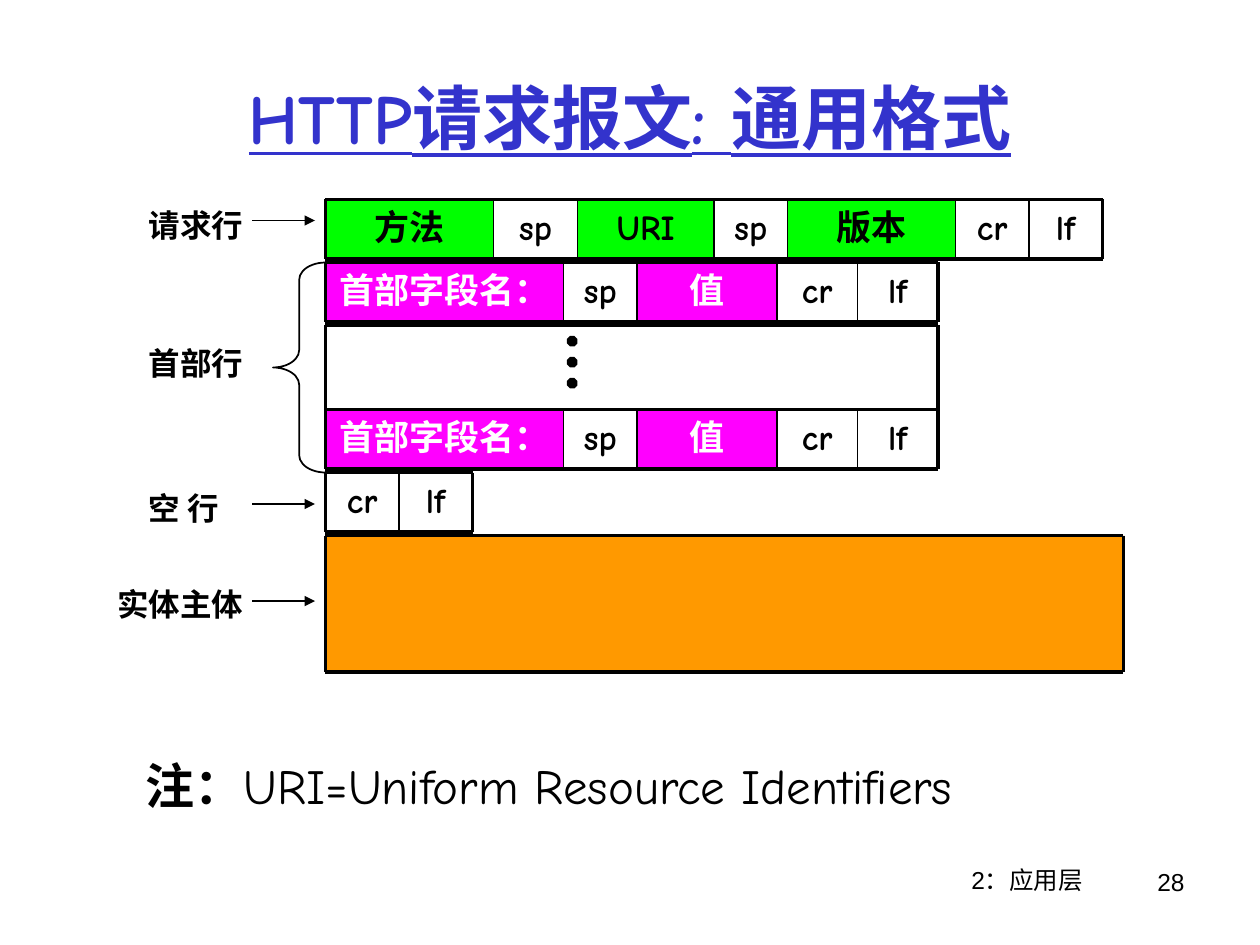
"""Build the slide on the general format of an HTTP request message."""
from dataclasses import dataclass
from itertools import accumulate

from lxml.etree import SubElement
from pptx import Presentation
from pptx.dml.color import RGBColor
from pptx.enum.shapes import MSO_CONNECTOR, MSO_SHAPE
from pptx.enum.text import MSO_ANCHOR, MSO_AUTO_SIZE, PP_ALIGN
from pptx.oxml.ns import qn
from pptx.util import Pt


@dataclass(frozen=True)
class Theme:
    font: str = "Comic Neue"
    footer_font: str = "Arial"
    ink: str = "000000"
    title: str = "3333CC"
    paper: str = "FFFFFF"
    request: str = "00FF00"
    header: str = "FF00FF"
    body: str = "FF9900"
    title_size: int = 40
    note_size: int = 28
    cell_size: int = 20
    label_size: int = 18
    footer_size: int = 14
    thick: int = 2
    thin: int = 1


T = Theme()

TITLE = "HTTP请求报文: 通用格式"
NOTE = [("注：", True), ("URI=Uniform Resource Identifiers", False)]
FOOTER = [("2：应用层", (473, 491, 228, 37), PP_ALIGN.CENTER),
          ("28", (621, 492, 63, 37), PP_ALIGN.RIGHT)]

REQUEST_LINE = [("方法", 96, T.request), ("sp", 48, T.paper), ("URI", 78, T.request),
                ("sp", 42, T.paper), ("版本", 96, T.request),
                ("cr", 42, T.paper), ("lf", 42, T.paper)]
HEADER_LINE = [("首部字段名：", 136, T.header), ("sp", 42, T.paper), ("值", 80, T.header),
               ("cr", 46, T.paper), ("lf", 46, T.paper)]
BLANK_LINE = [("cr", 42, T.paper), ("lf", 42, T.paper)]
ELLIPSIS = [("", 350, None)]
BODY = [("", 456, T.body)]

LEFT, ROW_H = 186, 34
ROWS = [(REQUEST_LINE, 114, ROW_H), (HEADER_LINE, 150, ROW_H), (HEADER_LINE, 234, ROW_H),
        (BLANK_LINE, 270, ROW_H), (BODY, 306, 78), (ELLIPSIS, 186, 48)]
DOT_X, DOT_TOP, DOT_STEP, DOT_SIZE = 324, 192, 12, 6
BRACE = (156, 150, 30, 120)

LABELS = [("请求行", 78, 114, 126), ("首部行", 78, 193, None),
          ("空 行", 78, 276, 288), ("实体主体", 60, 331, 343.5)]
LABEL_RIGHT, LABEL_H = 150, 29
ARROW_X = (144, 180)


def rgb(value):
    return RGBColor.from_string(value)


def add_run(p, text, size, color=T.ink, bold=True, font=T.font):
    r = p.add_run()
    r.text = text
    r.font.name, r.font.size, r.font.bold = font, Pt(size), bold
    r.font.color.rgb = rgb(color)
    return r


def add_text(shapes, box, runs, size, align=PP_ALIGN.LEFT, font=T.font):
    tf = shapes.add_textbox(*map(Pt, box)).text_frame
    tf.word_wrap = True
    p = tf.paragraphs[0]
    p.alignment = align
    for text, bold in runs:
        add_run(p, text, size, bold=bold, font=font)


def add_filled(shapes, kind, box, fill):
    sp = shapes.add_shape(kind, *map(Pt, box))
    sp.shadow.inherit = False
    sp.fill.solid()
    sp.fill.fore_color.rgb = rgb(fill)
    sp.line.fill.background()
    return sp


def add_line(shapes, x1, y1, x2, y2, width, arrow=False):
    line = shapes.add_connector(MSO_CONNECTOR.STRAIGHT, *map(Pt, (x1, y1, x2, y2)))
    line.line.color.rgb = rgb(T.ink)
    line.line.width = Pt(width)
    if arrow:
        SubElement(line.line._get_or_add_ln(), qn("a:tailEnd"), type="triangle")
    SubElement(line._element.spPr, qn("a:effectLst"))


def add_row(shapes, cells, top, height):
    edges = list(accumulate((width for _, width, _ in cells), initial=LEFT))
    for x, (text, width, fill) in zip(edges, cells):
        if fill is None:
            continue
        sp = add_filled(shapes, MSO_SHAPE.RECTANGLE, (x, top, width, height), fill)
        if text:
            tf = sp.text_frame
            tf.word_wrap = False
            tf.vertical_anchor = MSO_ANCHOR.TOP
            p = tf.paragraphs[0]
            p.alignment = PP_ALIGN.CENTER
            add_run(p, text, T.cell_size, T.paper if fill == T.header else T.ink)
    for y in (top, top + height):
        add_line(shapes, edges[0], y, edges[-1], y, T.thick)
    for x in edges:
        width = T.thick if x in (edges[0], edges[-1]) else T.thin
        add_line(shapes, x, top, x, top + height, width)


def add_title(title):
    title.left, title.top, title.width, title.height = map(Pt, (36, 21.6, 648, 90))
    tf = title.text_frame
    tf.auto_size = MSO_AUTO_SIZE.NONE
    tf.vertical_anchor = MSO_ANCHOR.MIDDLE
    p = tf.paragraphs[0]
    p.alignment = PP_ALIGN.CENTER
    add_run(p, TITLE, T.title_size, T.title).font.underline = True


def main():
    prs = Presentation()
    prs.slide_width, prs.slide_height = Pt(720), Pt(540)
    s = prs.slides.add_slide(prs.slide_layouts[5])
    shapes = s.shapes
    add_title(shapes.title)
    for text, box, align in FOOTER:
        add_text(shapes, box, [(text, False)], T.footer_size, align, T.footer_font)

    for cells, top, height in ROWS:
        add_row(shapes, cells, top, height)
    for i in range(3):
        box = (DOT_X, DOT_TOP + i * DOT_STEP, DOT_SIZE, DOT_SIZE)
        add_filled(shapes, MSO_SHAPE.OCTAGON, box, T.ink)

    brace = shapes.add_shape(MSO_SHAPE.LEFT_BRACE, *map(Pt, BRACE))
    brace.shadow.inherit = False
    brace.adjustments[0] = 0.33
    brace.fill.background()
    brace.line.color.rgb = rgb(T.ink)
    brace.line.width = Pt(T.thin)

    for text, left, top, arrow_y in LABELS:
        box = (left, top, LABEL_RIGHT - left, LABEL_H)
        add_text(shapes, box, [(text, True)], T.label_size)
        if arrow_y:
            add_line(shapes, ARROW_X[0], arrow_y, ARROW_X[1], arrow_y, T.thin, arrow=True)
    add_text(shapes, (76, 428, 567, 41), NOTE, T.note_size)
    prs.save("out.pptx")


if __name__ == "__main__":
    main()
